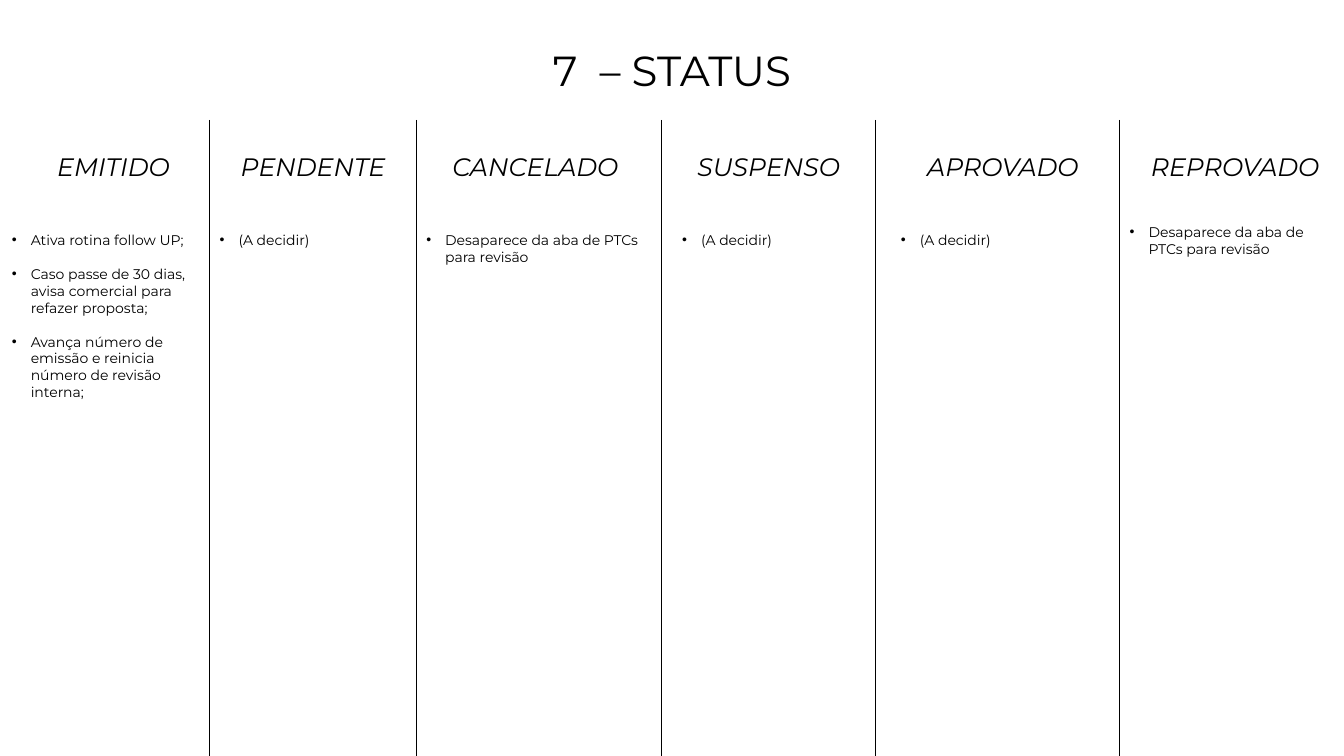
from dataclasses import dataclass

from lxml.etree import SubElement
from pptx import Presentation
from pptx.dml.color import RGBColor
from pptx.enum.shapes import MSO_CONNECTOR
from pptx.enum.text import MSO_ANCHOR, MSO_AUTO_SIZE, PP_ALIGN
from pptx.oxml.ns import qn
from pptx.util import Pt


@dataclass(frozen=True)
class Theme:
    font: str = "Montserrat"
    ink: RGBColor = RGBColor(0, 0, 0)
    paper: RGBColor = RGBColor(255, 255, 255)
    title: float = 30
    heading: float = 18
    body: float = 10
    rule: float = 0.5
    indent: float = 13.5
    gap: float = 12.2


class StatusSlide:
    def __init__(self, prs, theme):
        self.theme = theme
        self.s = prs.slides.add_slide(prs.slide_layouts[6])
        self.s.background.fill.solid()
        self.s.background.fill.fore_color.rgb = theme.paper

    def text(self, x, y, w, h, lines, size, italic=False):
        tf = self.s.shapes.add_textbox(Pt(x), Pt(y), Pt(w), Pt(h)).text_frame
        tf.word_wrap = True
        tf.text = "\n".join(lines)
        for p in tf.paragraphs:
            for r in p.runs:
                r.font.name = self.theme.font
                r.font.size = Pt(size)
                r.font.italic = italic
                r.font.color.rgb = self.theme.ink
        return tf

    def title(self, x, y, w, h, text):
        tf = self.text(x, y, w, h, [text], self.theme.title)
        tf.vertical_anchor = MSO_ANCHOR.MIDDLE
        p = tf.paragraphs[0]
        p.alignment = PP_ALIGN.CENTER
        p.line_spacing = 0.9

    def heading(self, x, y, w, text):
        tf = self.text(x, y, w, 29, [text], self.theme.heading, italic=True)
        tf.auto_size = MSO_AUTO_SIZE.SHAPE_TO_FIT_TEXT

    def bullets(self, x, y, w, h, lines):
        tf = self.text(x, y, w, h, lines, self.theme.body)
        tf.auto_size = MSO_AUTO_SIZE.SHAPE_TO_FIT_TEXT
        for p in tf.paragraphs:
            pPr = p._p.get_or_add_pPr()
            pPr.set("marL", str(Pt(self.theme.indent)))
            pPr.set("indent", str(-Pt(self.theme.indent)))
            if p._p is not tf.paragraphs[-1]._p:
                p.space_after = Pt(self.theme.gap)
            SubElement(pPr, qn("a:buFont"), typeface="Arial")
            SubElement(pPr, qn("a:buChar"), char="•")

    def divider(self, x, top, bottom):
        c = self.s.shapes.add_connector(
            MSO_CONNECTOR.STRAIGHT, Pt(x), Pt(top), Pt(x), Pt(bottom))
        c.line.color.rgb = self.theme.ink
        c.line.width = Pt(self.theme.rule)
        SubElement(c._element.spPr, qn("a:effectLst"))


WIDTH, HEIGHT = 960, 540
DIVIDERS = [149.8, 297.4, 472.3, 625, 799.9]
UNDECIDED = ["(A decidir)"]
REMOVED = ["Desaparece da aba de PTCs para revisão"]
EMITTED = [
    "Ativa rotina follow UP;",
    "Caso passe de 30 dias, avisa comercial para refazer proposta;",
    "Avança número de emissão e reinicia número de revisão interna;",
]
STATUSES = [
    ("EMITIDO", 33.8, 98, (1.4, 162, 148.4, 128), EMITTED),
    ("PENDENTE", 164.9, 132.5, (149.8, 162, 144, 19.4), UNDECIDED),
    ("CANCELADO", 316, 145, (297.4, 162, 173.5, 31.5), REMOVED),
    ("SUSPENSO", 491, 145, (480.2, 162, 144, 19.4), UNDECIDED),
    ("APROVADO", 655.2, 145, (636.5, 162, 144, 19.4), UNDECIDED),
    ("REPROVADO", 815, 145, (799.9, 156.2, 160, 31.5), REMOVED),
]


def main():
    prs = Presentation()
    prs.slide_width, prs.slide_height = Pt(WIDTH), Pt(HEIGHT)
    slide = StatusSlide(prs, Theme())
    slide.title(0, 0, WIDTH, 104.4, "7  – STATUS")
    for x in DIVIDERS:
        slide.divider(x, 85.7, HEIGHT)
    for name, x, w, notes_box, notes in STATUSES:
        slide.heading(x, 104.4, w, name)
        slide.bullets(*notes_box, notes)
    prs.save("out.pptx")


if __name__ == "__main__":
    main()
